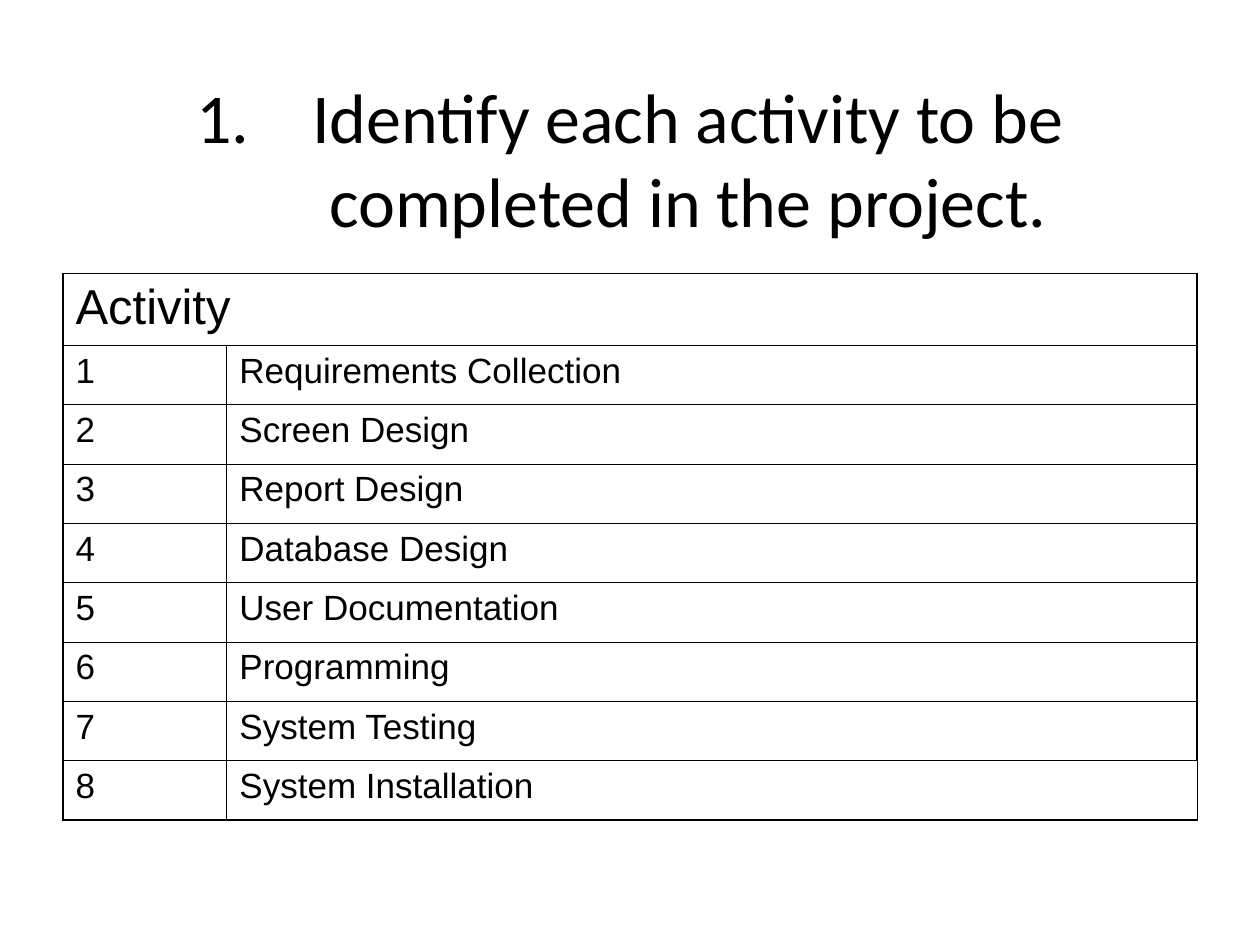
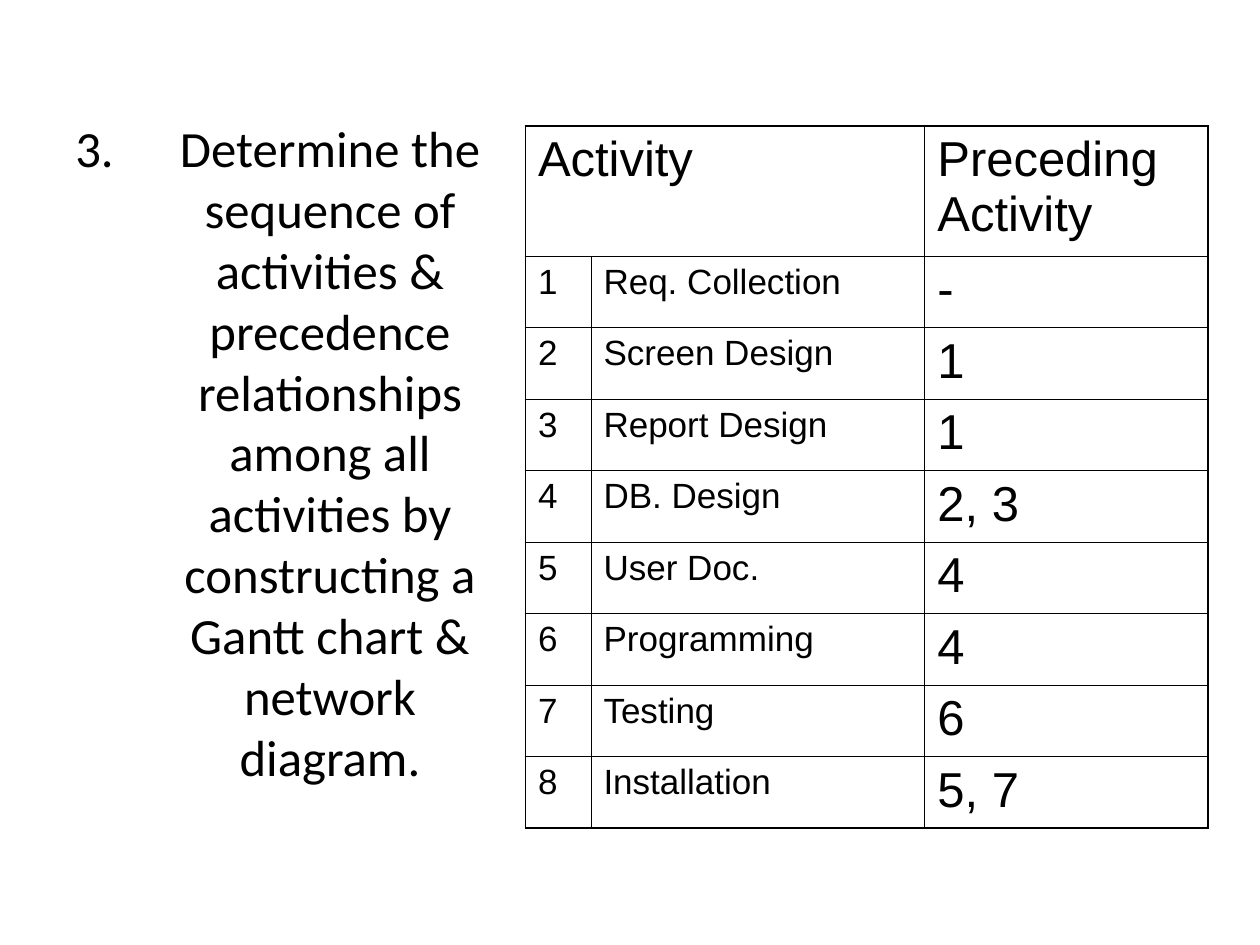
from pptx import Presentation
from pptx.dml.color import RGBColor
from pptx.enum.text import MSO_ANCHOR as Anchor, PP_ALIGN as Align
from pptx.oxml.ns import qn
from pptx.util import Inches, Pt
from lxml.etree import SubElement

BLACK = "000000"
TITLE_FONT, TABLE_FONT = "Calibri", "Arial"
LARGE, SMALL = 28, 20
THICK, THIN = 1.08, 0.45


def rgb(value):
    return RGBColor.from_string(value)


class Deck:
    def __init__(self):
        self.prs = Presentation()
        self.prs.slide_width, self.prs.slide_height = Inches(10), Inches(7.5)
        self.s = None

    def slide(self):
        self.s = self.prs.slides.add_slide(self.prs.slide_layouts[6])

    def style(self, p, font, size):
        for r in p.runs:
            r.font.name, r.font.size = font, Pt(size)
            r.font.color.rgb = rgb(BLACK)

    def step_title(self, box, number, text, size, indent):
        tf = self.s.shapes.add_textbox(*map(Inches, box)).text_frame
        tf.word_wrap, tf.vertical_anchor = True, Anchor.MIDDLE
        p = tf.paragraphs[0]
        p.text, p.alignment = text, Align.CENTER
        self.style(p, TITLE_FONT, size)
        pPr = p._p.get_or_add_pPr()
        pPr.set("marL", str(Inches(indent)))
        pPr.set("indent", str(-Inches(indent)))
        SubElement(pPr, qn("a:buFont"), typeface=TITLE_FONT)
        SubElement(pPr, qn("a:buAutoNum"), type="arabicPeriod", startAt=str(number))

    def borders(self, cell, **widths):
        tcPr = cell._tc.get_or_add_tcPr()
        for i, side in enumerate("LRTB"):
            tag = qn(f"a:ln{side}")
            for old in tcPr.findall(tag):
                tcPr.remove(old)
            ln = SubElement(tcPr, tag, w=str(Pt(widths[side])))
            fill = SubElement(ln, qn("a:solidFill"))
            SubElement(fill, qn("a:srgbClr"), val=BLACK)
            tcPr.insert(i, ln)

    def cell(self, cell, text, size):
        cell.fill.background()
        p = cell.text_frame.paragraphs[0]
        p.text, p.space_before = text, Pt(size / 4)
        self.style(p, TABLE_FONT, size)

    def activity_table(self, left, top, height, header_height, widths, headers, rows):
        n_rows, n_cols = len(rows) + 1, len(widths)
        table = self.s.shapes.add_table(
            n_rows, n_cols, Inches(left), Inches(top),
            Inches(sum(widths)), Inches(height)).table
        table.first_row = table.horz_banding = False
        for column, width in zip(table.columns, widths):
            column.width = Inches(width)
        for i, row in enumerate(table.rows):
            row.height = Inches((height - header_height) / len(rows) if i else header_height)
        table.cell(0, 0).merge(table.cell(0, 1))
        grid = [(headers[0], "", *headers[1:])] + rows
        for i, texts in enumerate(grid):
            for j, text in enumerate(texts):
                cell = table.cell(i, j)
                self.cell(cell, text, LARGE if i == 0 or j == 2 else SMALL)
                right = j + 1 if cell.is_merge_origin else j
                self.borders(cell,
                             L=THIN if j else THICK,
                             R=THICK if right == n_cols - 1 else THIN,
                             T=THIN if i else THICK,
                             B=THICK if i == n_rows - 1 else THIN)
        return table


def activities_slide(deck):
    names = ["Requirements Collection", "Screen Design", "Report Design",
             "Database Design", "User Documentation", "Programming",
             "System Testing", "System Installation"]
    deck.slide()
    deck.step_title((0.5, 0.5, 9, 1.5), 1,
                    "Identify each activity to be completed in the project.", 40, 0.92)
    rows = [(str(n), name) for n, name in enumerate(names, 1)]
    table = deck.activity_table(0.5, 2.17, 4.34, 0.57, [1.3, 7.7], ["Activity"], rows)
    deck.borders(table.cell(len(rows), 1), L=THIN, R=THIN, T=THIN, B=THICK)


def sequence_slide(deck):
    activities = [("Req. Collection", "-"), ("Screen Design", "1"),
                  ("Report Design", "1"), ("DB. Design", "2, 3"),
                  ("User Doc.", "4"), ("Programming", "4"),
                  ("Testing", "6"), ("Installation", "5, 7")]
    deck.slide()
    deck.step_title((0.33, 0.75, 3.75, 5.67), 3,
                    "Determine the sequence of activities & precedence relationships "
                    "among all activities by constructing a Gantt chart & network diagram.",
                    29, 0.83)
    rows = [(str(n), *activity) for n, activity in enumerate(activities, 1)]
    deck.activity_table(4.17, 1, 5.57, 1.03, [0.52, 2.65, 2.25],
                        ["Activity", "Preceding Activity"], rows)


def main():
    deck = Deck()
    activities_slide(deck)
    sequence_slide(deck)
    deck.prs.save("out.pptx")


if __name__ == "__main__":
    main()
